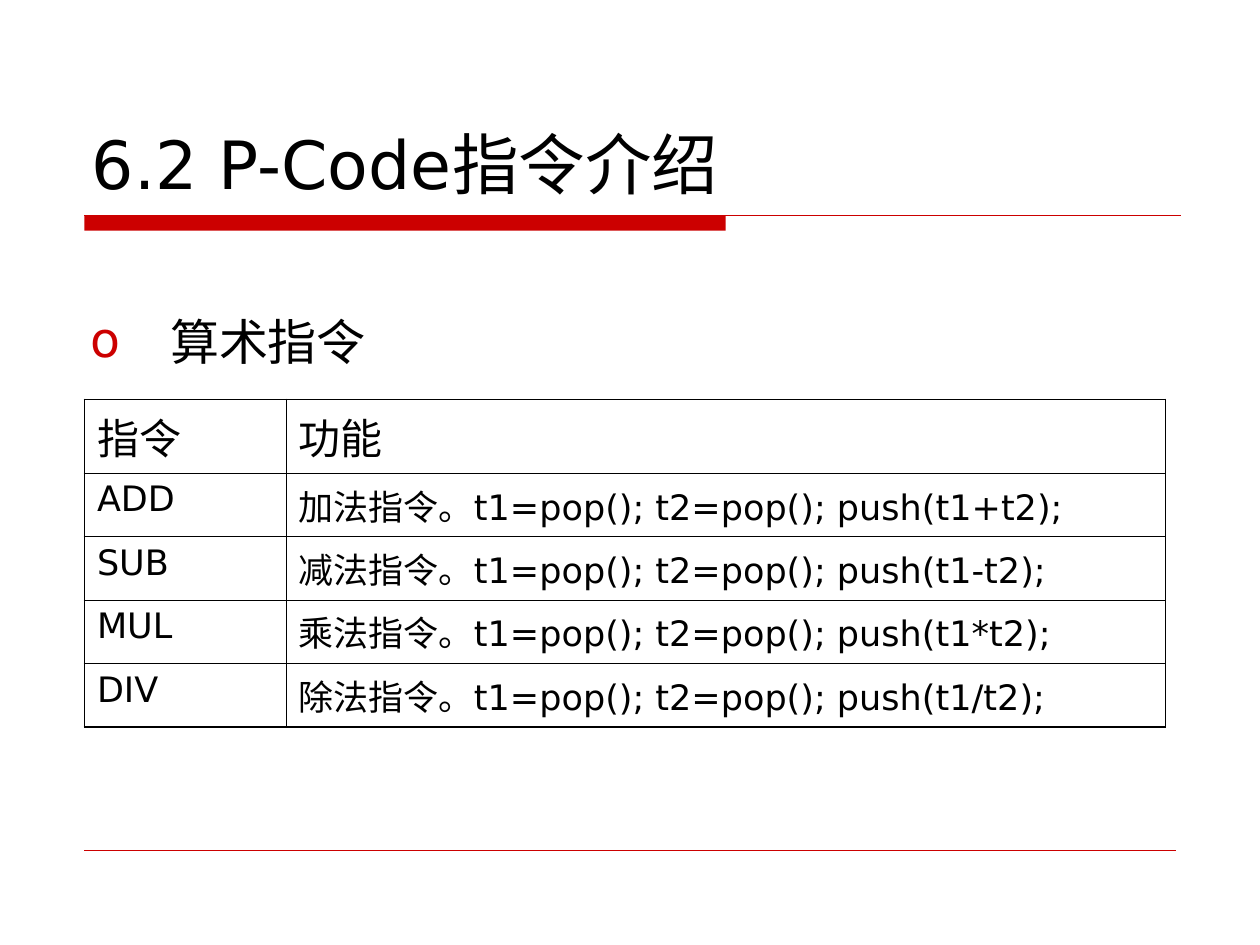
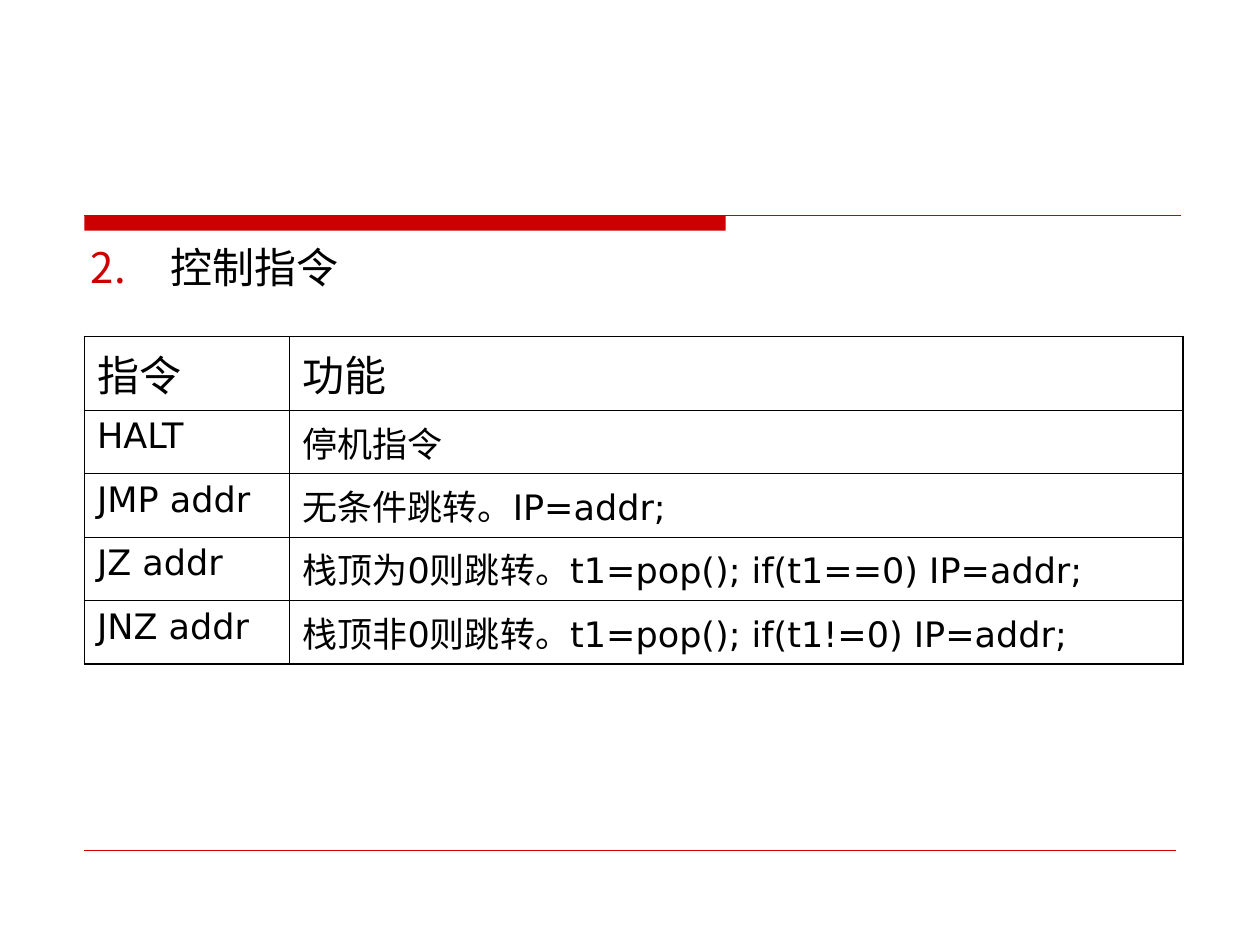
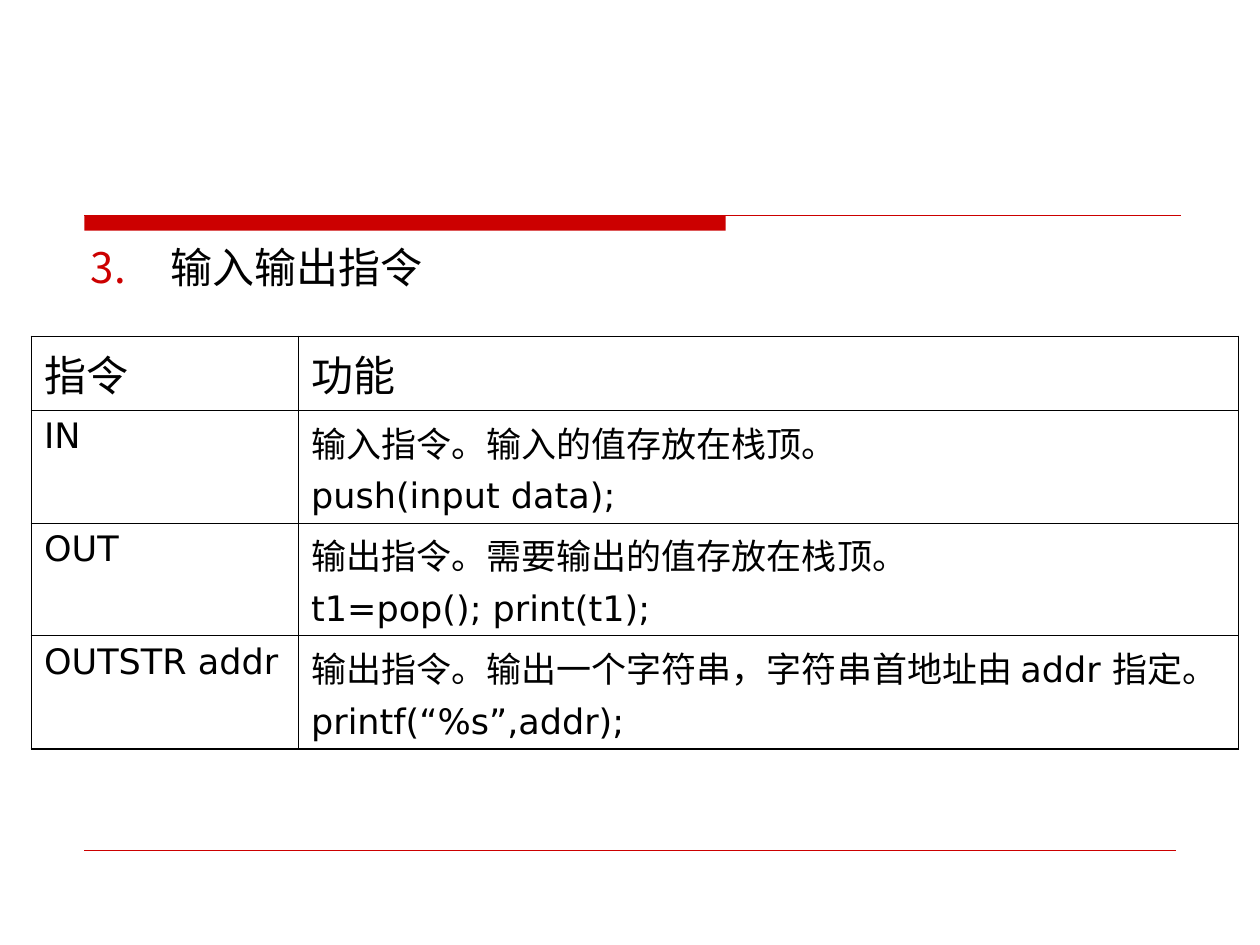
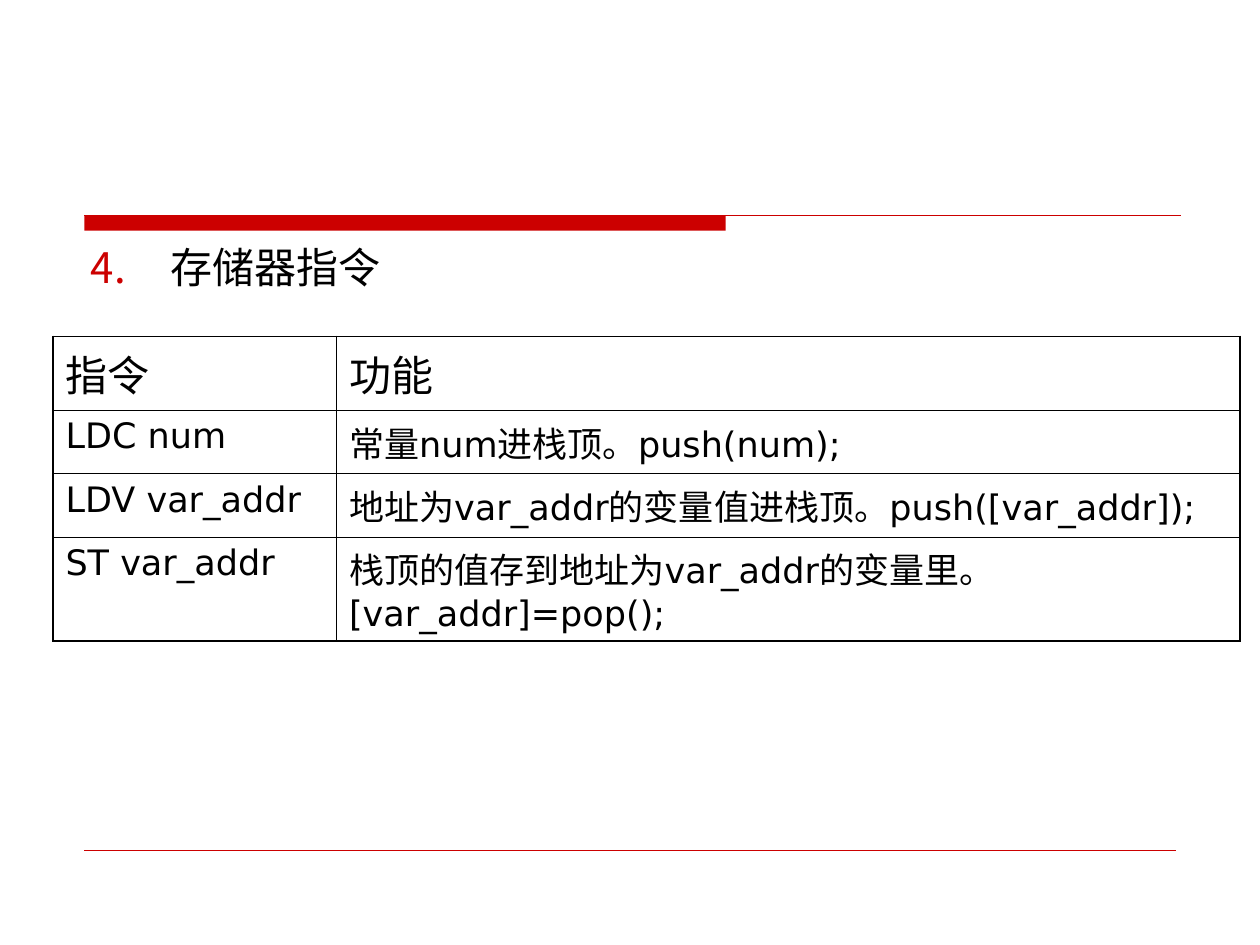
"""Builds four slides that introduce the P-Code instructions in tables."""
import dataclasses

import lxml.etree
import pptx
import pptx.dml.color
import pptx.enum.shapes
import pptx.enum.text
import pptx.oxml.ns
import pptx.util

Inches = pptx.util.Inches
Pt = pptx.util.Pt
qn = pptx.oxml.ns.qn


@dataclasses.dataclass(frozen=True)
class Theme:
    font: str = "DejaVu Sans"
    ink: str = "000000"
    accent: str = "CC0000"
    title: int = 38
    lead: int = 28
    heading: int = 24
    cell: int = 20
    outer: float = 1.08
    inner: float = 0.45


class Deck:
    def __init__(self, theme):
        self.theme = theme
        self.prs = pptx.Presentation()
        self.prs.slide_width, self.prs.slide_height = Inches(10), Inches(7.5)
        self.layout = self.prs.slide_layouts[1]
        self.slide = None

    def color(self, code):
        return pptx.dml.color.RGBColor.from_string(code)

    def new_slide(self):
        self.slide = self.prs.slides.add_slide(self.layout)

    def place(self, shape, left, top, width, height):
        shape.left, shape.top = Inches(left), Inches(top)
        shape.width, shape.height = Inches(width), Inches(height)

    def style(self, paragraph, size, before=0):
        paragraph.alignment = pptx.enum.text.PP_ALIGN.LEFT
        paragraph.space_before = Pt(before)
        for run in paragraph.runs:
            run.font.name = self.theme.font
            run.font.size = Pt(size)
            run.font.color.rgb = self.color(self.theme.ink)

    def bar(self, left, top, width, height):
        bar = self.slide.shapes.add_shape(
            pptx.enum.shapes.MSO_SHAPE.RECTANGLE,
            Inches(left), Inches(top), Inches(width), Inches(height))
        bar.shadow.inherit = False
        bar.fill.solid()
        bar.fill.fore_color.rgb = self.color(self.theme.accent)
        bar.line.fill.background()
        return bar

    def rule(self, left, right, y, weight):
        rule = self.slide.shapes.add_connector(
            pptx.enum.shapes.MSO_CONNECTOR.STRAIGHT,
            Inches(left), Inches(y), Inches(right), Inches(y))
        rule.line.color.rgb = self.color(self.theme.accent)
        rule.line.width = Pt(weight)
        lxml.etree.SubElement(rule.element.spPr, qn("a:effectLst"))
        return rule

    def share(self, shapes):
        tree = self.prs.slide_master.shapes.element
        for number, shape in enumerate(shapes, start=101):
            shape.element.xpath(".//p:cNvPr")[0].set("id", str(number))
            tree.append(shape.element)

    def title(self, text):
        title = self.slide.shapes.title
        if not text:
            title.element.getparent().remove(title.element)
            return
        self.place(title, 0.63, 0.33, 8.75, 1.33)
        frame = title.text_frame
        frame.text = text
        frame.auto_size = pptx.enum.text.MSO_AUTO_SIZE.NONE
        frame.vertical_anchor = pptx.enum.text.MSO_ANCHOR.BOTTOM
        self.style(frame.paragraphs[0], self.theme.title)

    def heading(self, text, size, before, height, inset, number=None):
        body = self.slide.placeholders[1]
        self.place(body, 0.62, 1.92, 8.71, height)
        frame = body.text_frame
        frame.text = text
        frame.auto_size = pptx.enum.text.MSO_AUTO_SIZE.NONE
        frame.margin_top = Inches(inset)
        paragraph = frame.paragraphs[0]
        self.style(paragraph, size, before)
        self.bullet(paragraph, number)

    def bullet(self, paragraph, number):
        props = paragraph._p.get_or_add_pPr()
        indent = Inches(0.63)
        props.set("marL", str(indent))
        props.set("indent", str(-indent))
        tint = lxml.etree.SubElement(props, qn("a:buClr"))
        lxml.etree.SubElement(tint, qn("a:srgbClr"), val=self.theme.accent)
        if number:
            lxml.etree.SubElement(props, qn("a:buFont"), typeface="+mj-lt")
            lxml.etree.SubElement(props, qn("a:buAutoNum"),
                                  type="arabicPeriod", startAt=str(number))
        else:
            lxml.etree.SubElement(props, qn("a:buFont"), typeface=self.theme.font)
            lxml.etree.SubElement(props, qn("a:buChar"), char="o")

    def borders(self, cell, outer_sides):
        props = cell._tc.get_or_add_tcPr()
        for side in "LRTB":
            weight = self.theme.outer if side in outer_sides else self.theme.inner
            line = lxml.etree.SubElement(props, qn(f"a:ln{side}"), w=str(Pt(weight)))
            fill = lxml.etree.SubElement(line, qn("a:solidFill"))
            lxml.etree.SubElement(fill, qn("a:srgbClr"), val=self.theme.ink)

    def table(self, left, top, widths, heights, instructions):
        rows = [("指令", "功能"), *instructions]
        table = self.slide.shapes.add_table(
            len(rows), len(widths), Inches(left), Inches(top),
            Inches(sum(widths)), Inches(sum(heights))).table
        table.first_row = table.horz_banding = False
        for column, width in zip(table.columns, widths):
            column.width = Inches(width)
        for r, (row, height, texts) in enumerate(zip(table.rows, heights, rows)):
            row.height = Inches(height)
            size, before = (self.theme.cell, 5) if r else (self.theme.heading, 6)
            for c, text in enumerate(texts):
                cell = table.cell(r, c)
                cell.text = text
                for paragraph in cell.text_frame.paragraphs:
                    self.style(paragraph, size, before)
                edges = {"T": r == 0, "B": r == len(rows) - 1,
                         "L": c == 0, "R": c == len(texts) - 1}
                self.borders(cell, [side for side, outer in edges.items() if outer])
                cell.fill.background()


THEME = Theme()
deck = Deck(THEME)

deck.new_slide()
deck.share([deck.bar(0.67, 1.71, 5.09, 0.12),
            deck.rule(0.67, 9.37, 1.71, 0.74),
            deck.rule(0.67, 9.33, 6.75, 0.26)])
deck.title("6.2 P-Code指令介绍")
deck.heading("算术指令", THEME.lead, 7, height=1.25, inset=0.55)
operations = [("ADD", "加法", "+"), ("SUB", "减法", "-"),
              ("MUL", "乘法", "*"), ("DIV", "除法", "/")]
deck.table(0.67, 3.17, [1.6, 6.98], [0.5] + [0.44] * 4, [
    (name, f"{meaning}指令。t1=pop(); t2=pop(); push(t1{sign}t2);")
    for name, meaning, sign in operations])

numbered = [
    ("控制指令", 0.67, [1.63, 7.09], [0.5, 0.45, 0.45, 0.45, 0.46], [
        ("HALT", "停机指令"),
        ("JMP addr", "无条件跳转。IP=addr;"),
        ("JZ addr", "栈顶为0则跳转。t1=pop(); if(t1==0) IP=addr;"),
        ("JNZ addr", "栈顶非0则跳转。t1=pop(); if(t1!=0) IP=addr;")]),
    ("输入输出指令", 0.25, [2.12, 7.46], [0.5] + [0.84] * 3, [
        ("IN", "输入指令。输入的值存放在栈顶。\npush(input data);"),
        ("OUT", "输出指令。需要输出的值存放在栈顶。\nt1=pop(); print(t1);"),
        ("OUTSTR addr", "输出指令。输出一个字符串，字符串首地址由 addr 指定。\n"
                        "printf(“%s”,addr);")]),
    ("存储器指令", 0.42, [2.25, 7.17], [0.5, 0.45, 0.45, 0.77], [
        ("LDC num", "常量num进栈顶。push(num);"),
        ("LDV var_addr", "地址为var_addr的变量值进栈顶。push([var_addr]);"),
        ("ST var_addr", "栈顶的值存到地址为var_addr的变量里。 [var_addr]=pop();")]),
]
for number, (heading, left, widths, heights, instructions) in enumerate(numbered, start=2):
    deck.new_slide()
    deck.title(None)
    deck.heading(heading, THEME.heading, 6, height=0.75, inset=0, number=number)
    deck.table(left, 2.67, widths, heights, instructions)

deck.prs.save("out.pptx")
